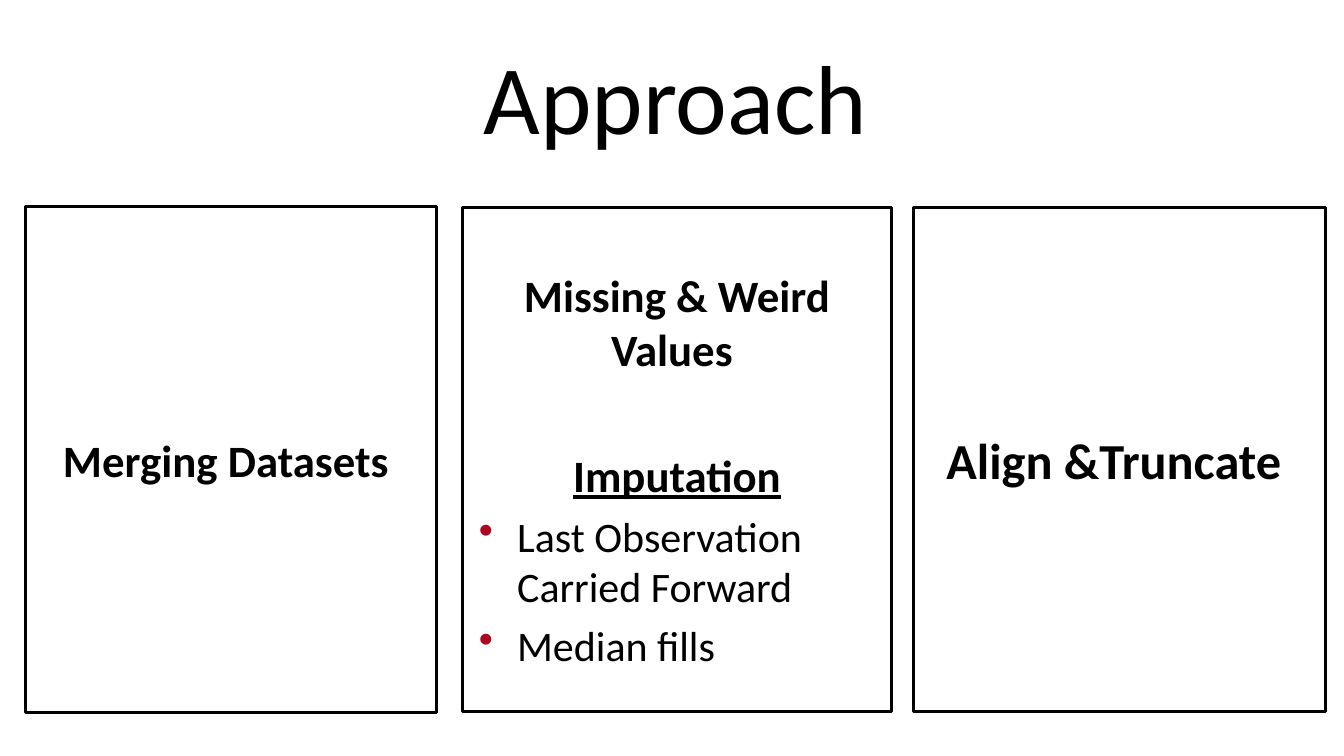
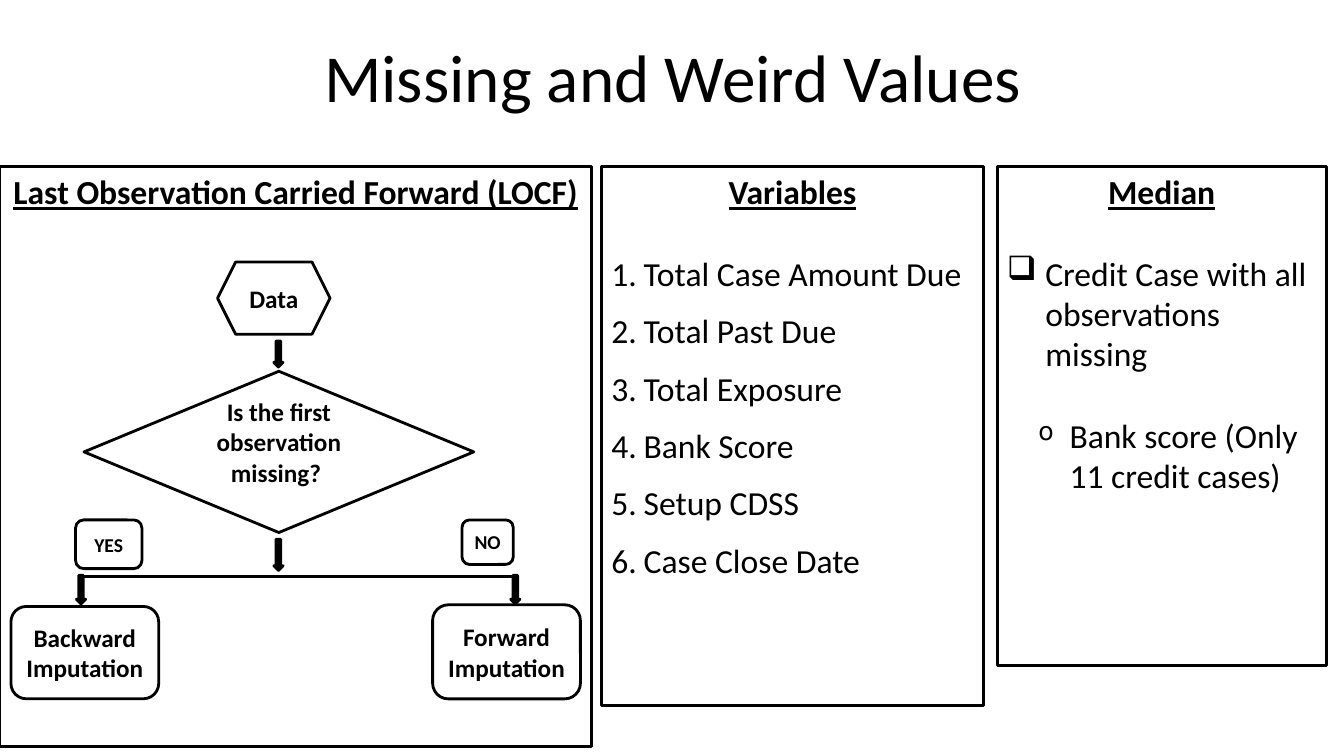
from dataclasses import dataclass
from typing import Optional

from lxml.etree import SubElement
from pptx import Presentation
from pptx.dml.color import RGBColor
from pptx.enum.shapes import MSO_CONNECTOR as Connector, MSO_SHAPE as Preset
from pptx.enum.text import MSO_ANCHOR as Anchor, PP_ALIGN as Align
from pptx.oxml.ns import qn
from pptx.util import Inches, Pt

COLUMNS, ROWS = 160, 90
CELL = Inches(1) / 12


@dataclass(frozen=True)
class Theme:
    ink: str = "000000"
    paper: str = "FFFFFF"
    accent: str = "AB0520"
    font: str = "Calibri"
    line: float = 2
    heavy_line: float = 2.25
    title: int = 70
    subtitle: int = 48
    step: int = 36
    heading: int = 32
    bullet: int = 30
    panel: int = 24
    node: int = 18
    answer: int = 14


@dataclass(frozen=True)
class Area:
    column: float
    row: float
    columns: float
    rows: float


@dataclass(frozen=True)
class Bullet:
    indent: float
    symbol: str = ""
    color: str = ""
    percent: int = 100


@dataclass(frozen=True)
class Text:
    words: str
    size: float
    bold: bool = False
    underline: bool = False
    before: float = 0
    bullet: Optional[Bullet] = None


@dataclass(frozen=True)
class Panel:
    area: Area
    texts: list[Text]
    anchor: Anchor = Anchor.TOP
    top_inset: float = 0.05
    line: float = Theme.line


@dataclass(frozen=True)
class Node:
    preset: Preset
    area: Area
    words: str
    size: int = Theme.node
    bottom_inset: float = 0.05


THEME = Theme()
DOT = Bullet(0.38, "•", THEME.accent)
NUMBER = Bullet(0.32)
CHECKBOX = Bullet(0.38, "❑")
CIRCLE = Bullet(0.31, "o", percent=75)
BLANK_LINE = 29.3


def cells(count: float) -> int:
    return round(count * CELL)


def place(area: Area) -> tuple[int, int, int, int]:
    return cells(area.column), cells(area.row), cells(area.columns), cells(area.rows)


def ink() -> RGBColor:
    return RGBColor.from_string(THEME.ink)


def add_bullet(para, bullet: Bullet, margin: float) -> None:
    props = para._p.get_or_add_pPr()
    props.set("marL", str(Inches(margin)))
    props.set("indent", str(-Inches(bullet.indent)))
    if bullet.color:
        color = SubElement(props, qn("a:buClr"))
        SubElement(color, qn("a:srgbClr"), val=bullet.color)
    if bullet.percent != 100:
        SubElement(props, qn("a:buSzPct"), val=str(bullet.percent * 1000))
    if bullet.symbol:
        SubElement(props, qn("a:buChar"), char=bullet.symbol)
    else:
        SubElement(props, qn("a:buAutoNum"), type="arabicPeriod")


def write(box, texts: list[Text], anchor: Anchor, side: float = 0.1,
          top: float = 0.05, bottom: float = 0.05) -> None:
    frame = box.text_frame
    frame.word_wrap = True
    frame.vertical_anchor = anchor
    frame.margin_left = frame.margin_right = Inches(side)
    frame.margin_top, frame.margin_bottom = Inches(top), Inches(bottom)
    margins = {DOT: 0.44, CIRCLE: 0.62}
    for index, text in enumerate(texts):
        para = frame.add_paragraph() if index else frame.paragraphs[0]
        if text.bullet:
            add_bullet(para, text.bullet, margins.get(text.bullet, text.bullet.indent))
        para.alignment = Align.LEFT if text.bullet else Align.CENTER
        if text.before:
            para.space_before = Pt(text.before)
        para.add_run().text = text.words
        font = para.font
        font.name, font.size = THEME.font, Pt(text.size)
        font.bold, font.underline = text.bold, text.underline
        font.color.rgb = ink()


def add_title(page, area: Area, words: str, size: int) -> None:
    write(page.shapes.add_textbox(*place(area)), [Text(words, size)], Anchor.MIDDLE)


def add_outline(page, preset: Preset, area: Area, fill: str = "", line: float = THEME.line):
    shape = page.shapes.add_shape(preset, *place(area))
    shape.shadow.inherit = False
    if fill:
        shape.fill.solid()
        shape.fill.fore_color.rgb = RGBColor.from_string(fill)
    else:
        shape.fill.background()
    shape.line.color.rgb = ink()
    shape.line.width = Pt(line)
    return shape


def add_panel(page, panel: Panel) -> None:
    box = add_outline(page, Preset.RECTANGLE, panel.area, line=panel.line)
    write(box, panel.texts, panel.anchor, top=panel.top_inset)


def add_node(page, node: Node) -> None:
    box = add_outline(page, node.preset, node.area, THEME.paper)
    write(box, [Text(node.words, node.size, True)], Anchor.MIDDLE, 0.05,
          bottom=node.bottom_inset)


def add_branch_line(page, left: float, right: float, row: float) -> None:
    line = page.shapes.add_connector(
        Connector.STRAIGHT, cells(left), cells(row), cells(right), cells(row))
    line.line.color.rgb = ink()
    line.line.width = Pt(THEME.heavy_line)
    SubElement(line._element.spPr, qn("a:effectLst"))


def build_approach(page) -> None:
    add_title(page, Area(3, 3.7, 154.8, 15.4), "Approach", THEME.title)
    panels = [
        Panel(Area(3, 24.6, 49, 60.2),
              [Text("Merging Datasets ", THEME.heading, True)], Anchor.MIDDLE),
        Panel(Area(55.1, 24.7, 51, 60), [
            Text("Missing & Weird Values ", THEME.heading, True),
            Text("Imputation", THEME.heading, True, True, before=51.8),
            Text("Last Observation Carried Forward", THEME.bullet, before=6, bullet=DOT),
            Text("Median fills", THEME.bullet, before=6, bullet=DOT),
        ], top_inset=0.6),
        Panel(Area(108.8, 24.7, 49, 60),
              [Text("Align &Truncate ", THEME.step, True)], Anchor.MIDDLE),
    ]
    for panel in panels:
        add_panel(page, panel)


def build_missing_values(page) -> None:
    add_title(page, Area(2.2, 3.5, 155.8, 10.9), "Missing and Weird Values", THEME.subtitle)
    variables = ["Total Case Amount Due", "Total Past Due", "Total Exposure",
                 "Bank Score", "Setup CDSS", "Case Close Date"]
    numbered = [Text(words, THEME.panel, before=12.2 if index else BLANK_LINE, bullet=NUMBER)
                for index, words in enumerate(variables)]
    median = [
        Text("Credit Case with all observations missing", THEME.panel,
             before=BLANK_LINE, bullet=CHECKBOX),
        Text("Bank score (Only 11 credit cases)", THEME.panel,
             before=BLANK_LINE, bullet=CIRCLE),
    ]
    top = 19.8
    for area, heading, texts, line in [
        (Area(0, top, 70.4, 69.1), "Last Observation Carried Forward (LOCF)", [], THEME.line),
        (Area(71.6, top, 45.5, 64.2), "Variables", numbered, THEME.line),
        (Area(118.7, top, 39.2, 59.4), "Median", median, THEME.heavy_line),
    ]:
        title = Text(heading, THEME.panel, True, True)
        add_panel(page, Panel(area, [title, *texts], line=line))

    add_branch_line(page, 9.5, 61.1, 68.6)
    for column, row, rows in [(32.6, 40.6, 3.1), (32.6, 64.2, 3.7),
                              (9.1, 68.5, 3.4), (60.8, 68.5, 3.4)]:
        add_outline(page, Preset.DOWN_ARROW, Area(column, row, 1.1, rows), THEME.ink)
    rounded = Preset.ROUNDED_RECTANGLE
    for node in [
        Node(Preset.HEXAGON, Area(25.9, 31.2, 13.4, 8.6), "Data"),
        Node(Preset.FLOWCHART_DECISION, Area(10, 44.2, 46.4, 19.2),
             "Is the first observation missing? ", bottom_inset=0.25),
        Node(rounded, Area(9, 61.9, 7.9, 5.8), "YES", THEME.answer),
        Node(rounded, Area(55, 61.9, 6.1, 5.3), "NO", THEME.answer),
        Node(rounded, Area(1.3, 72.2, 17.6, 11), "Backward Imputation"),
        Node(rounded, Area(51.5, 72, 17.6, 11.2), "Forward Imputation"),
    ]:
        add_node(page, node)


def main() -> None:
    deck = Presentation()
    deck.slide_width, deck.slide_height = cells(COLUMNS), cells(ROWS)
    blank = deck.slide_layouts[6]
    for build in (build_approach, build_missing_values):
        build(deck.slides.add_slide(blank))
    deck.save("out.pptx")


if __name__ == "__main__":
    main()
